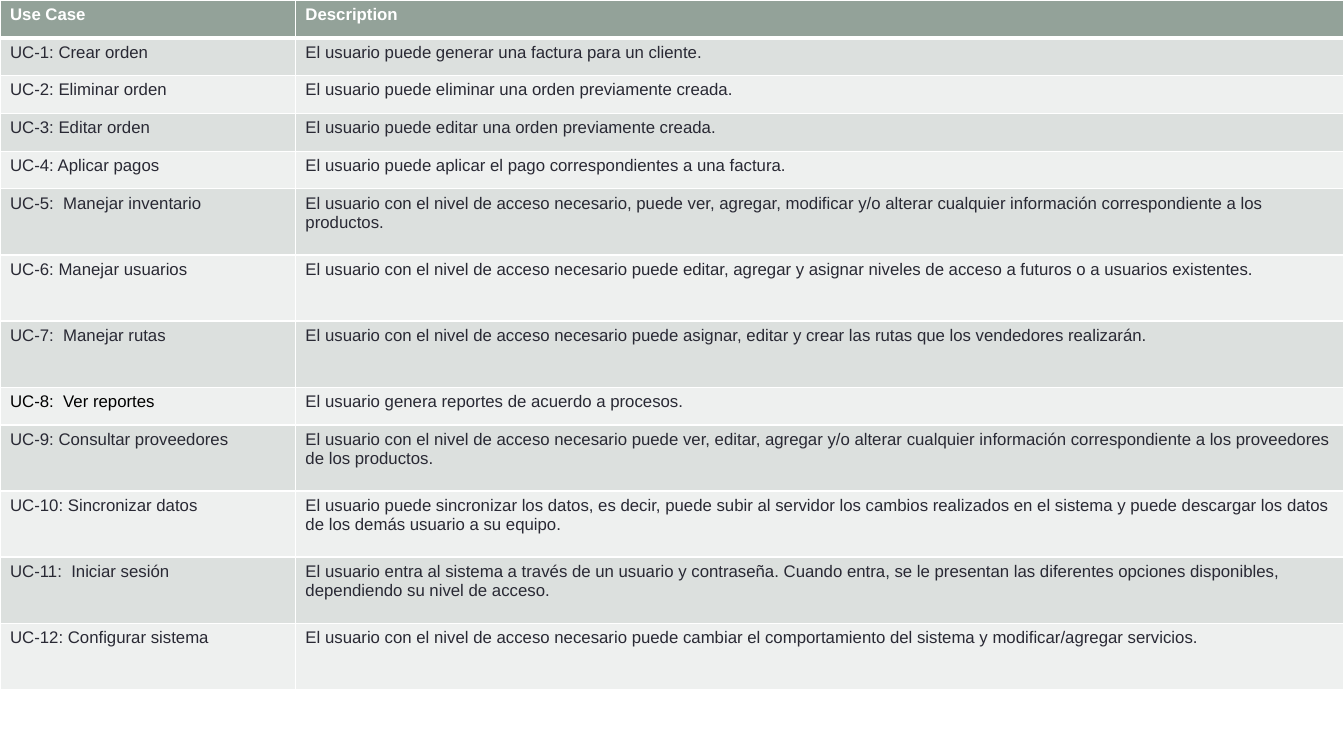
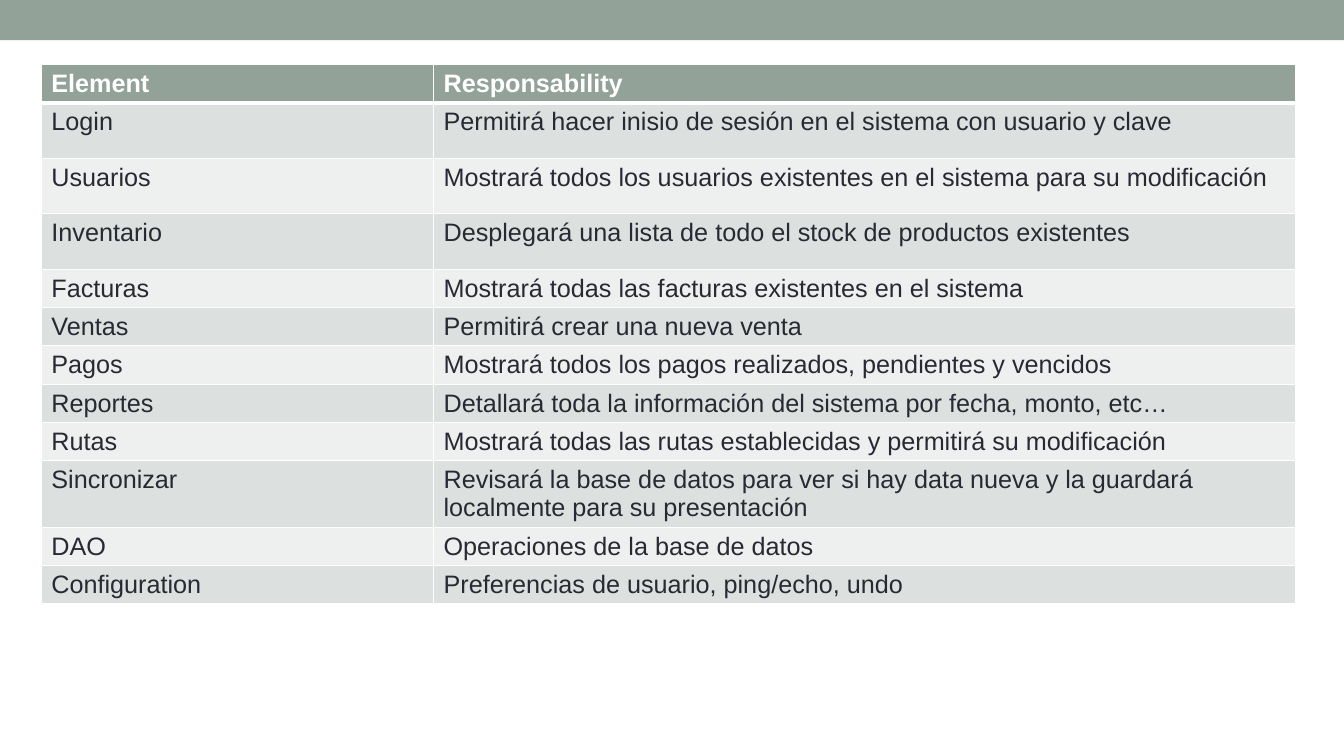
from dataclasses import dataclass

from lxml.etree import SubElement
from pptx import Presentation
from pptx.dml.color import RGBColor
from pptx.enum.shapes import MSO_SHAPE
from pptx.oxml.ns import qn
from pptx.util import Inches, Pt


@dataclass(frozen=True)
class Theme:
    accent: str = "93A299"
    band_dark: str = "DCE0DE"
    band_light: str = "EEF0EF"
    white: str = "FFFFFF"
    text: str = "292934"
    emphasis: str = "000000"
    font: str = "Arial"
    small_size: int = 12
    large_size: int = 18
    grid_line: int = 1
    header_line: int = 3


THEME = Theme()
SLIDE_WIDTH = 13.33
SLIDE_HEIGHT = 7.5
BAND_HEIGHT = 0.4

USE_CASE_HEIGHT = 6.84
USE_CASE_SHORT = 3 / 8
USE_CASE_TALL = (USE_CASE_HEIGHT - 6 * USE_CASE_SHORT) / 7
USE_CASES = [
    ("Use Case", "Description", USE_CASE_SHORT),
    ("UC-1: Crear orden", "El usuario puede generar una factura para un cliente.", USE_CASE_SHORT),
    ("UC-2: Eliminar orden", "El usuario puede eliminar una orden previamente creada.", USE_CASE_SHORT),
    ("UC-3: Editar orden", "El usuario puede editar una orden previamente creada.", USE_CASE_SHORT),
    ("UC-4: Aplicar pagos", "El usuario puede aplicar el pago correspondientes a una factura.", USE_CASE_SHORT),
    ("UC-5:  Manejar inventario",
     "El usuario con el nivel de acceso necesario, puede ver, agregar, modificar y/o alterar "
     "cualquier información correspondiente a los productos.", USE_CASE_TALL),
    ("UC-6: Manejar usuarios",
     "El usuario con el nivel de acceso necesario puede editar, agregar y asignar niveles de "
     "acceso a futuros o a usuarios existentes.", USE_CASE_TALL),
    ("UC-7:  Manejar rutas",
     "El usuario con el nivel de acceso necesario puede asignar, editar y crear las rutas que "
     "los vendedores realizarán.", USE_CASE_TALL),
    ("UC-8:  Ver reportes", "El usuario genera reportes de acuerdo a procesos.", USE_CASE_SHORT),
    ("UC-9: Consultar proveedores",
     "El usuario con el nivel de acceso necesario puede ver, editar, agregar y/o alterar "
     "cualquier información correspondiente a los proveedores de los productos.", USE_CASE_TALL),
    ("UC-10: Sincronizar datos",
     "El usuario puede sincronizar los datos, es decir, puede subir al servidor los cambios "
     "realizados en el sistema y puede descargar los datos de los demás usuario a su equipo.",
     USE_CASE_TALL),
    ("UC-11:  Iniciar sesión",
     "El usuario entra al sistema a través de un usuario y contraseña. Cuando entra, se le "
     "presentan las diferentes opciones disponibles, dependiendo su nivel de acceso.",
     USE_CASE_TALL),
    ("UC-12: Configurar sistema",
     "El usuario con el nivel de acceso necesario puede cambiar el comportamiento del sistema "
     "y modificar/agregar servicios.", USE_CASE_TALL),
]
REPORTS_ROW = 8

ELEMENT_SHORT, ELEMENT_MEDIUM, ELEMENT_TALL = 0.38, 0.55, 0.66
ELEMENTS = [
    ("Element", "Responsability", ELEMENT_SHORT),
    ("Login", "Permitirá hacer inisio de sesión en el sistema con usuario y clave", ELEMENT_MEDIUM),
    ("Usuarios", "Mostrará todos los usuarios existentes en el sistema para su modificación", ELEMENT_MEDIUM),
    ("Inventario", "Desplegará una lista de todo el stock de productos existentes", ELEMENT_MEDIUM),
    ("Facturas", "Mostrará todas las facturas existentes en el sistema", ELEMENT_SHORT),
    ("Ventas", "Permitirá crear una nueva venta", ELEMENT_SHORT),
    ("Pagos", "Mostrará todos los pagos realizados, pendientes y vencidos", ELEMENT_SHORT),
    ("Reportes", "Detallará toda la información del sistema por fecha, monto, etc…", ELEMENT_SHORT),
    ("Rutas", "Mostrará todas las rutas establecidas y permitirá su modificación", ELEMENT_SHORT),
    ("Sincronizar",
     "Revisará la base de datos para ver si hay data nueva y la guardará localmente para su "
     "presentación", ELEMENT_TALL),
    ("DAO", "Operaciones de la base de datos", ELEMENT_SHORT),
    ("Configuration", "Preferencias de usuario, ping/echo, undo", ELEMENT_SHORT),
]


def color(value):
    return RGBColor.from_string(value)


def add_top_band(slide):
    band = slide.shapes.add_shape(
        MSO_SHAPE.RECTANGLE, 0, 0, Inches(SLIDE_WIDTH), Inches(BAND_HEIGHT))
    band.shadow.inherit = False
    band.fill.solid()
    band.fill.fore_color.rgb = color(THEME.accent)
    band.line.fill.background()


def set_borders(cell, top, bottom):
    properties = cell._tc.get_or_add_tcPr()
    widths = {"a:lnL": THEME.grid_line, "a:lnR": THEME.grid_line, "a:lnT": top, "a:lnB": bottom}
    for tag, width in widths.items():
        line = SubElement(properties, qn(tag), w=str(Pt(width)))
        fill = SubElement(line, qn("a:solidFill"))
        SubElement(fill, qn("a:srgbClr"), val=THEME.white)


def set_cell(cell, text, row_index, size):
    is_header = row_index == 0
    set_borders(
        cell,
        top=THEME.header_line if row_index == 1 else THEME.grid_line,
        bottom=THEME.header_line if is_header else THEME.grid_line)
    band_fill = THEME.band_dark if row_index % 2 else THEME.band_light
    cell.fill.solid()
    cell.fill.fore_color.rgb = color(THEME.accent if is_header else band_fill)
    cell.text_frame.text = text
    font = cell.text_frame.paragraphs[0].runs[0].font
    font.name = THEME.font
    font.size = Pt(size)
    font.bold = is_header
    font.color.rgb = color(THEME.white if is_header else THEME.text)


def add_banded_table(slide, left, top, column_widths, rows, size):
    height = sum(row_height for *_, row_height in rows)
    table = slide.shapes.add_table(
        len(rows), len(column_widths), Inches(left), Inches(top),
        Inches(sum(column_widths)), Inches(height)).table
    table.horz_banding = False
    for column, width in zip(table.columns, column_widths):
        column.width = Inches(width)
    for row_index, (*texts, row_height) in enumerate(rows):
        table.rows[row_index].height = Inches(row_height)
        for column_index, text in enumerate(texts):
            set_cell(table.cell(row_index, column_index), text, row_index, size)
    return table


def add_use_case_slide(slide):
    table = add_banded_table(slide, 0, 0, (2.93, 10.4), USE_CASES, THEME.small_size)
    reports_run = table.cell(REPORTS_ROW, 0).text_frame.paragraphs[0].runs[0]
    reports_run.font.color.rgb = color(THEME.emphasis)


def add_element_slide(slide):
    add_top_band(slide)
    add_banded_table(slide, 0.41, 0.64, (3.89, 8.55), ELEMENTS, THEME.large_size)


def main():
    presentation = Presentation()
    presentation.slide_width = Inches(SLIDE_WIDTH)
    presentation.slide_height = Inches(SLIDE_HEIGHT)
    blank_layout = presentation.slide_layouts[6]
    for add_content in (add_use_case_slide, add_element_slide):
        add_content(presentation.slides.add_slide(blank_layout))
    presentation.save("out.pptx")


if __name__ == "__main__":
    main()
